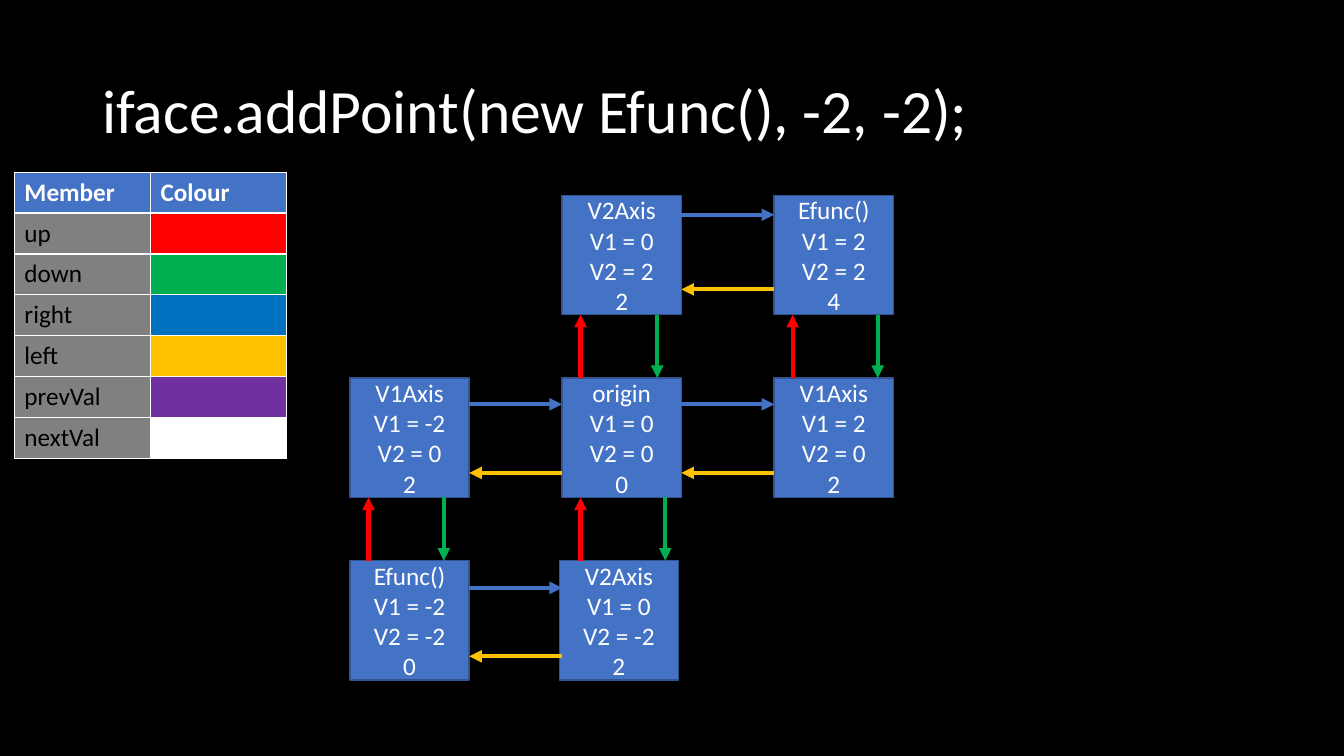
import pptx
import pptx.dml.color
import pptx.enum.shapes
import pptx.enum.text
import pptx.oxml
import pptx.oxml.ns
import pptx.util

Pt = pptx.util.Pt
RGBColor = pptx.dml.color.RGBColor
PP_ALIGN = pptx.enum.text.PP_ALIGN
MSO_ANCHOR = pptx.enum.text.MSO_ANCHOR

COLORS = {
    "background": "000000", "text": "FFFFFF", "member_text": "000000",
    "box": "4472C4", "box_line": "325491", "member": "808080",
    "up": "FF0000", "down": "00B050", "right": "0070C0", "left": "FFC000",
    "prevVal": "7030A0", "nextVal": "FFFFFF", "right_arrow": "4472C4",
}
BOX_SIZE = 85.2
COLUMN_LEFTS = [250 + 151.5 * column for column in range(3)]
ROW_TOPS = [139.7 + 130.4 * row for row in range(3)]


def write_text(paragraph, text, size, color, bold=False):
    run = paragraph.add_run()
    run.text = text
    font_format = {"name": "Calibri", "size": Pt(size), "bold": bold}
    for attribute, value in font_format.items():
        setattr(run.font, attribute, value)
    run.font.color.rgb = RGBColor.from_string(COLORS[color])


def add_arrow(start, end, color):
    points = [Pt(value) for value in (*start, *end)]
    connector = slide.shapes.add_connector(
        pptx.enum.shapes.MSO_CONNECTOR.STRAIGHT, *points)
    connector.line.width = Pt(3)
    connector.line.color.rgb = RGBColor.from_string(COLORS[color])
    namespace = pptx.oxml.ns.nsdecls("a")
    line_element = connector.line._get_or_add_ln()
    line_element.append(pptx.oxml.parse_xml(f'<a:tailEnd {namespace} type="triangle"/>'))
    connector._element.spPr.append(pptx.oxml.parse_xml(f"<a:effectLst {namespace}/>"))


presentation = pptx.Presentation()
presentation.slide_width = Pt(960)
presentation.slide_height = Pt(540)
slide = presentation.slides.add_slide(presentation.slide_layouts[6])
slide.background.fill.solid()
slide.background.fill.fore_color.rgb = RGBColor.from_string(COLORS["background"])

title = slide.shapes.add_textbox(Pt(66), Pt(28.8), Pt(828), Pt(104.4))
title.text_frame.word_wrap = True
title.text_frame.vertical_anchor = MSO_ANCHOR.MIDDLE
title_paragraph = title.text_frame.paragraphs[0]
title_paragraph.line_spacing = 0.9
write_text(title_paragraph, "iface.addPoint(new Efunc(), -2, -2);", 44, "text")

points = [
    (1, 0, "V2Axis", 0, 2, 2), (2, 0, "Efunc()", 2, 2, 4),
    (0, 1, "V1Axis", -2, 0, 2), (1, 1, "origin", 0, 0, 0), (2, 1, "V1Axis", 2, 0, 2),
    (0, 2, "Efunc()", -2, -2, 0), (1, 2, "V2Axis", 0, -2, 2),
]
for column, row, name, v1, v2, total in points:
    shift = -2 if (column, row) == (1, 2) else 0
    box = slide.shapes.add_shape(
        pptx.enum.shapes.MSO_SHAPE.RECTANGLE,
        Pt(COLUMN_LEFTS[column] + shift), Pt(ROW_TOPS[row]), Pt(BOX_SIZE), Pt(BOX_SIZE))
    box.shadow.inherit = False
    box.fill.solid()
    box.fill.fore_color.rgb = RGBColor.from_string(COLORS["box"])
    box.line.color.rgb = RGBColor.from_string(COLORS["box_line"])
    box.line.width = Pt(1)
    frame = box.text_frame
    frame.word_wrap = True
    frame.vertical_anchor = MSO_ANCHOR.MIDDLE
    for index, text in enumerate([name, f"V1 = {v1}", f"V2 = {v2}", str(total)]):
        paragraph = frame.add_paragraph() if index else frame.paragraphs[0]
        paragraph.alignment = PP_ALIGN.CENTER
        write_text(paragraph, text, 18, "text")

horizontal_offsets = [(13.7, 67), (18.7, 67.7), (19.4, 68.3)]
for column, row in [(1, 0), (0, 1), (1, 1), (0, 2)]:
    start_x = COLUMN_LEFTS[column] + BOX_SIZE
    end_x = COLUMN_LEFTS[column + 1]
    right_y, left_y = [ROW_TOPS[row] + offset for offset in horizontal_offsets[row]]
    add_arrow((start_x, right_y), (end_x, right_y), "right_arrow")
    add_arrow((end_x, left_y), (start_x, left_y), "left")

for column, row, down_offset in [(1, 0, 68), (2, 0, 74), (0, 1, 67), (1, 1, 73.7)]:
    upper_y = ROW_TOPS[row] + BOX_SIZE
    lower_y = ROW_TOPS[row + 1]
    up_x = COLUMN_LEFTS[column] + 13.2
    down_x = COLUMN_LEFTS[column] + down_offset
    add_arrow((up_x, lower_y), (up_x, upper_y), "up")
    add_arrow((down_x, upper_y), (down_x, lower_y), "down")

members = ["up", "down", "right", "left", "prevVal", "nextVal"]
legend_rows = [("Member", "Colour", "box", "box")]
legend_rows += [(member, "", "member", member) for member in members]
legend = slide.shapes.add_table(
    len(legend_rows), 2, Pt(10.3), Pt(123), Pt(194.4), Pt(204.4)).table
legend.horz_banding = False
for row, (member, heading, *fills) in enumerate(legend_rows):
    for column, text in enumerate([member, heading]):
        cell = legend.cell(row, column)
        cell.fill.solid()
        cell.fill.fore_color.rgb = RGBColor.from_string(COLORS[fills[column]])
        if text:
            color = "member_text" if row else "text"
            write_text(cell.text_frame.paragraphs[0], text, 18, color, row == 0)

presentation.save("out.pptx")
